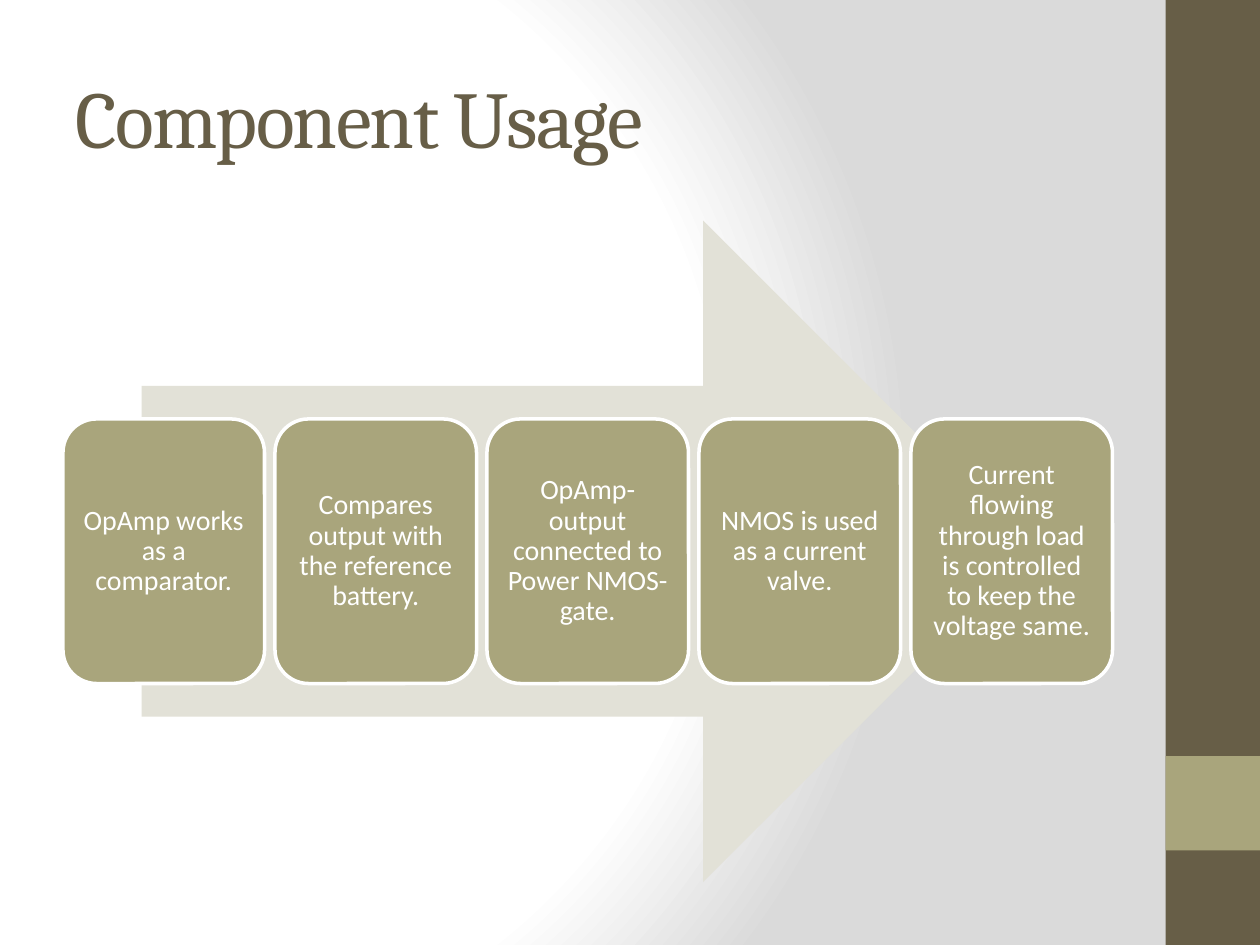
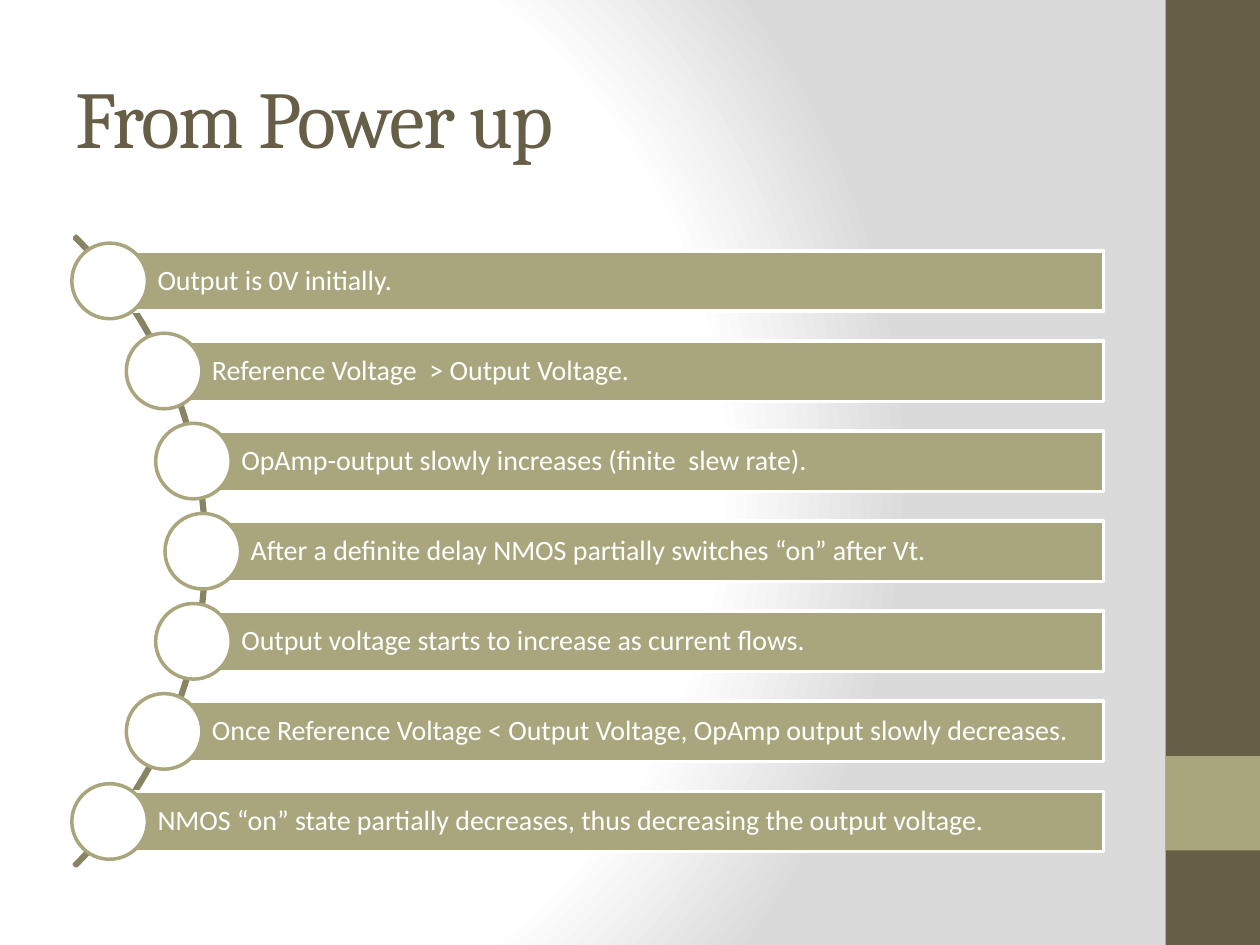
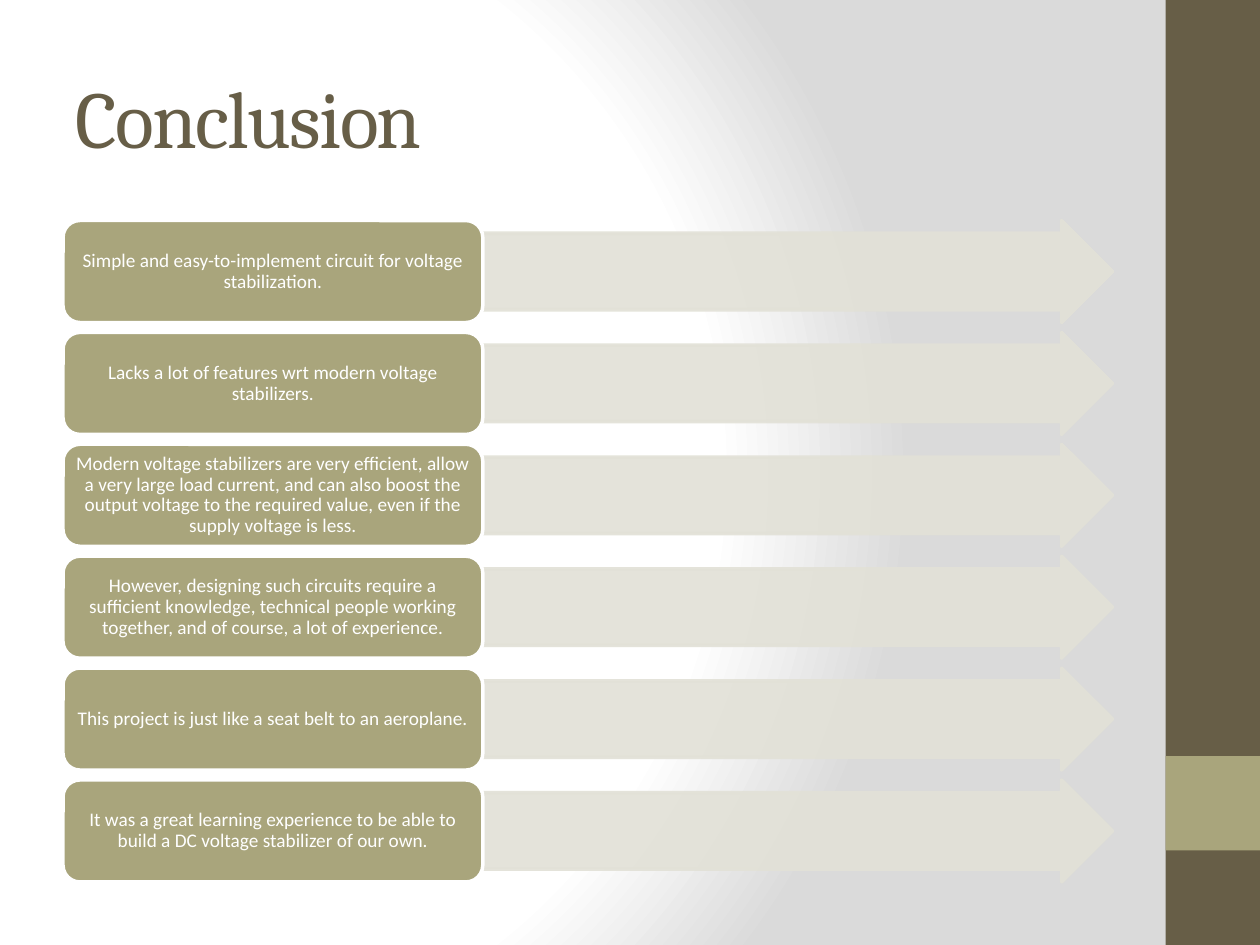
from math import sqrt

from lxml import etree
from pptx import Presentation
from pptx import util as u
from pptx.dml import color
from pptx.enum import shapes, text
from pptx.oxml import ns, parse_xml

HUES = {
    "brown": "675E47",
    "olive": "A9A57C",
    "moss": "878463",
    "pale": "E2E1D7",
    "white": "FFFFFF",
    "grey": "DADADA",
}
KIND = shapes.MSO_SHAPE
LEFT, MID = text.PP_ALIGN.LEFT, text.PP_ALIGN.CENTER

prs = Presentation()
prs.slide_width, prs.slide_height = u.Inches(10), u.Inches(7.5)
CELL = prs.slide_width / 10  # grid of 10 columns by 7.5 rows


def draw(page, kind, x, y, w, h, fill=None, line=None, alpha=None):
    """Add a preset shape at grid place x, y with plain fill and line."""
    item = page.shapes.add_shape(kind, *(round(v * CELL) for v in (x, y, w, h)))
    item.shadow.inherit = False
    for part, hue in ((item.fill, fill), (item.line.fill, line)):
        if hue:
            part.solid()
            part.fore_color.rgb = color.RGBColor.from_string(HUES[hue])
        else:
            part.background()
    if line:
        item.line.width = u.Pt(2)
    if alpha:
        for tint in item.element.spPr.iter(ns.qn("a:srgbClr")):
            etree.SubElement(tint, ns.qn("a:alpha"), val=str(alpha * 1000))
    return item


def write(item, words, size, pads, align=LEFT, font="Calibri", hue="white"):
    """Set one styled paragraph, with pads as left, top, right, bottom."""
    frame = item.text_frame
    frame.text = words
    frame.word_wrap = True
    frame.vertical_anchor = text.MSO_ANCHOR.MIDDLE
    (frame.margin_left, frame.margin_top,
     frame.margin_right, frame.margin_bottom) = (round(p * CELL) for p in pads)
    para = frame.paragraphs[0]
    para.alignment = align
    run = para.runs[0]
    run.font.size, run.font.name = u.Pt(size), font
    run.font.color.rgb = color.RGBColor.from_string(HUES[hue])
    return para, run


# Shared background: a round glow on the master
back = prs.slide_master.background.fill
back.solid()
solid = prs.slide_master.element.find(".//" + ns.qn("p:bgPr")).find(ns.qn("a:solidFill"))
stops = "".join(
    f'<a:gs pos="{at * 1000}"><a:srgbClr val="{HUES[hue]}"/></a:gs>'
    for at, hue in ((0, "white"), (75, "white"), (100, "grey")))
solid.getparent().replace(solid, parse_xml(
    f'<a:gradFill {ns.nsdecls("a")} rotWithShape="1"><a:gsLst>{stops}</a:gsLst>'
    '<a:path path="circle"><a:fillToRect l="20000" t="50000" r="100000" b="50000"/>'
    '</a:path></a:gradFill>'))

# Shared frame: side band, accent square and title
X, Y, WIDE, HIGH = 0.5, 1.75, 8.33, 5.25  # content area
pages = []
for title in ("Component Usage", "From Power up", "Conclusion"):
    page = prs.slides.add_slide(prs.slide_layouts[6])
    draw(page, KIND.RECTANGLE, 9.25, 0, 0.75, 7.5, "brown")
    draw(page, KIND.RECTANGLE, 9.25, 6, 0.75, 0.75, "olive")
    box = page.shapes.add_textbox(*(round(v * CELL) for v in (X, 0.3, WIDE, 1.25)))
    para, run = write(box, title, 46, (0.1, 0.05, 0.1, 0.05), font="Cambria", hue="brown")
    run.font._element.set("spc", "-100")
    pages.append(page)
usage, power, close = pages

# Component Usage: five cards over a wide arrow
steps = (
    "OpAmp works as a comparator.",
    "Compares output with the reference battery.",
    "OpAmp-output connected to Power NMOS-gate.",
    "NMOS is used as a current valve.",
    "Current flowing through load is controlled to keep the voltage same.",
)
span = 0.85 * WIDE
draw(usage, KIND.RIGHT_ARROW, X + (WIDE - span) / 2, Y, span, HIGH, "pale")
card, tall = 1.6, 0.4 * HIGH
pitch = (WIDE - card) / (len(steps) - 1)
for i, words in enumerate(steps):
    item = draw(usage, KIND.ROUNDED_RECTANGLE, X + i * pitch, Y + (HIGH - tall) / 2,
                card, tall, "olive", "white")
    para, run = write(item, words, 16, (0.07,) * 4, MID)
    para.line_spacing = 0.9

# From Power up: bars whose left ends follow an arc
events = (
    "Output is 0V initially.",
    "Reference Voltage  > Output Voltage.",
    "OpAmp-output slowly increases (finite  slew rate).",
    "After a definite delay NMOS partially switches “on” after Vt.",
    "Output voltage starts to increase as current flows.",
    "Once Reference Voltage < Output Voltage, OpAmp output slowly decreases.",
    "NMOS “on” state partially decreases, thus decreasing the output voltage.",
)
heart = Y + HIGH / 2
ring = 7.07
arc = draw(power, KIND.BLOCK_ARC, -5.43, heart - ring / 2, ring, ring, line="moss")
for i, val in enumerate((189, 27, 0.003)):
    arc.adjustments[i] = val
reach, edge = 3.48, 8.76
bar, dot, pitch = 0.48, 0.6, 0.715
for i, words in enumerate(events):
    rise = (i - len(events) // 2) * pitch
    x, y = 1.61 - reach + sqrt(reach ** 2 - rise ** 2), heart + rise
    item = draw(power, KIND.RECTANGLE, x, y - bar / 2, edge - x, bar, "olive", "white")
    para, run = write(item, words, 16, (0.38, 0.04, 0.04, 0.04))
    para.line_spacing = 0.9
    draw(power, KIND.OVAL, x - dot / 2, y - dot / 2, dot, dot, "white", "olive")

# Conclusion: a card and an arrow in each row
points = (
    "Simple and easy-to-implement circuit for voltage stabilization.",
    "Lacks a lot of features wrt modern voltage stabilizers.",
    "Modern voltage stabilizers are very efficient, allow a very large load current, "
    "and can also boost the output voltage to the required value, even if the supply "
    "voltage is less.",
    "However, designing such circuits require a sufficient knowledge, technical people "
    "working together, and of course, a lot of experience.",
    "This project is just like a seat belt to an aeroplane.",
    "It was a great learning experience to be able to build a DC voltage stabilizer "
    "of our own.",
)
card, tall = 0.4 * WIDE, 0.81
pitch = (HIGH - tall) / (len(points) - 1)
for i, words in enumerate(points):
    y = Y + i * pitch
    arrow = draw(close, KIND.RIGHT_ARROW, X + card, y, WIDE - card, tall,
                 "pale", "pale", alpha=90)
    arrow.adjustments[0], arrow.adjustments[1] = 0.75, 0.5
    item = draw(close, KIND.ROUNDED_RECTANGLE, X, y, card, tall, "olive", "white")
    para, run = write(item, words, 11, (0.05, 0.02, 0.05, 0.02), MID)
    para.line_spacing = 0.9

prs.save("out.pptx")
